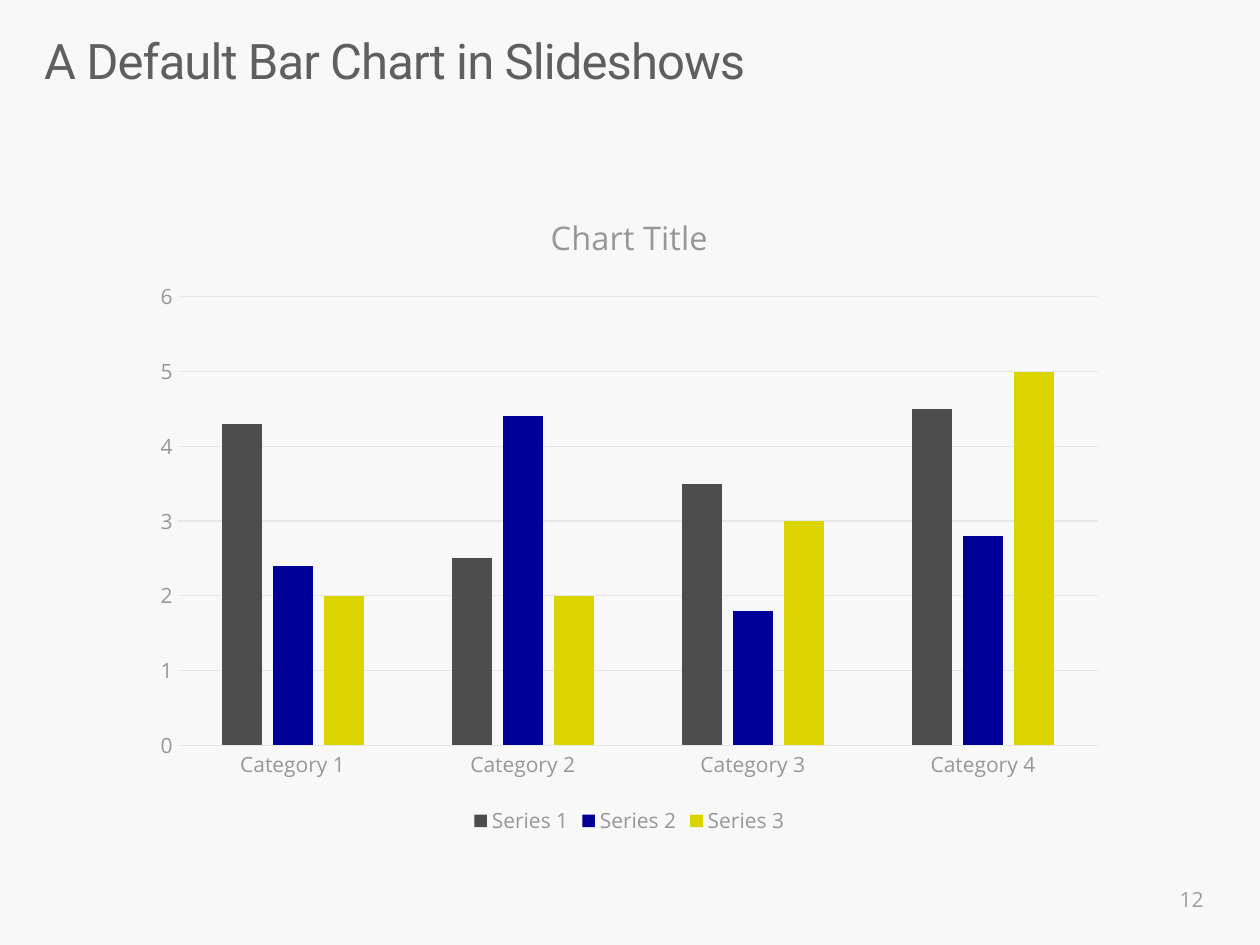
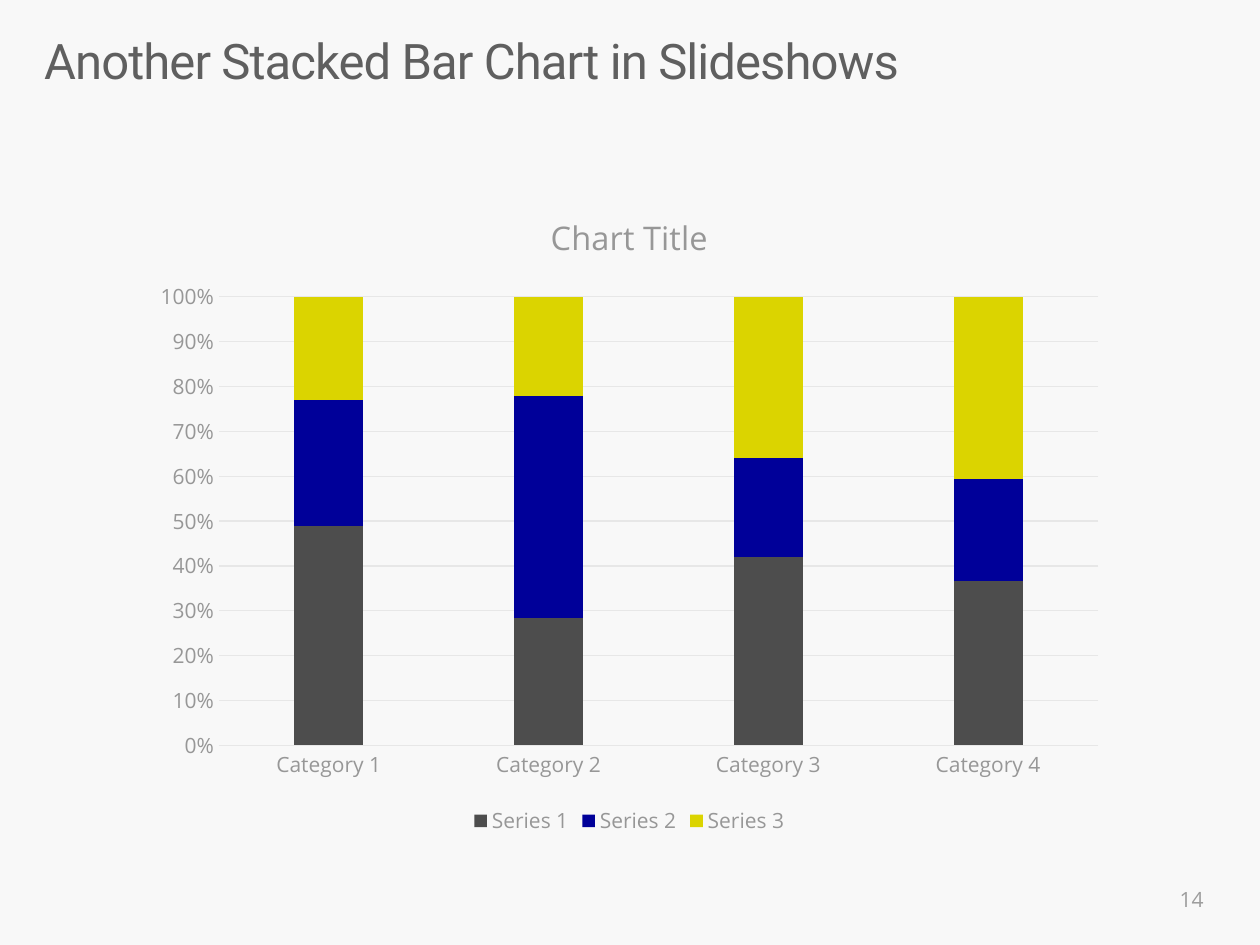
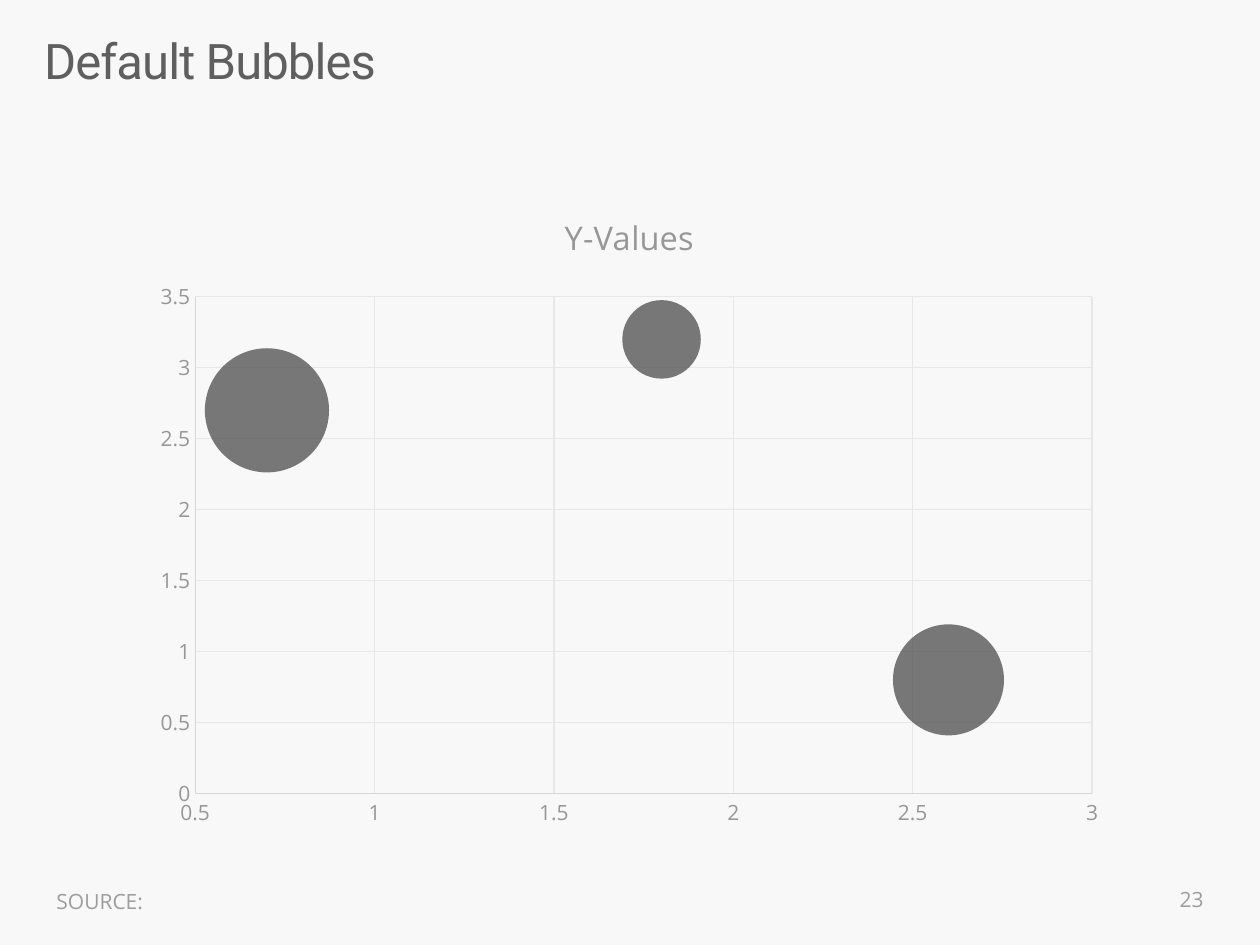
from dataclasses import dataclass
from typing import Any, Optional

from lxml.etree import SubElement
from pptx import Presentation
from pptx.chart.data import BubbleChartData, CategoryChartData
from pptx.dml.color import RGBColor
from pptx.enum.chart import XL_CHART_TYPE, XL_LEGEND_POSITION, XL_TICK_MARK
from pptx.enum.text import MSO_ANCHOR, PP_ALIGN
from pptx.oxml.ns import qn
from pptx.util import Emu, Pt

SCALE = 9144
BACK, DARK, GREY, PALE = "F8F8F8", "5F5F5F", "979797", "9D9D9D"
GRID, EDGE = "E7E7E7", "D7D7D7"
HUES = ("4D4D4D", "000099", "DBD400")
BODY = "Open Sans"
GROUPS = [f"Category {n}" for n in range(1, 5)]


@dataclass(frozen=True)
class Box:
    """A frame in px, one hundred to the inch."""

    left: int
    top: int
    width: int
    height: int

    def emu(self) -> list[Emu]:
        """Return the frame in EMU."""
        return [Emu(n * SCALE) for n in (self.left, self.top, self.width, self.height)]


@dataclass(frozen=True)
class Style:
    """The look of a line of text."""

    size: float
    hue: str
    face: str = BODY
    track: int = 0


@dataclass(frozen=True)
class Label:
    """A text frame shared by the slides."""

    box: Box
    style: Style
    frame: dict[str, Any]
    para: dict[str, Any]


@dataclass(frozen=True)
class Bars:
    """A column chart with its rows of values."""

    kind: XL_CHART_TYPE
    rows: tuple[tuple[float, ...], ...]
    lap: int
    top: float
    step: float
    code: str


@dataclass(frozen=True)
class Page:
    """One slide with a title, a number and a chart."""

    title: str
    number: int
    bars: Optional[Bars] = None
    source: str = ""


NOTE, AXIS = Style(12, PALE), Style(12, GREY)
CHART = Box(112, 147, 775, 520)
MID = {"vertical_anchor": MSO_ANCHOR.MIDDLE, "word_wrap": True}
FLUSH = {f"margin_{side}": 0 for side in ("left", "top", "right", "bottom")}
TITLE = Label(Box(35, 31, 929, 89), Style(28, DARK, "Roboto", -50),
              {"word_wrap": True, **FLUSH}, {"line_spacing": 0.86})
NUMBER = Label(Box(740, 694, 225, 40), NOTE, MID, {"alignment": PP_ALIGN.RIGHT})
SOURCE = Label(Box(35, 695, 693, 40), NOTE, MID, {"alignment": PP_ALIGN.LEFT})

PAGES = (
    Page("A Default Bar Chart in Slideshows", 12,
         Bars(XL_CHART_TYPE.COLUMN_CLUSTERED,
              ((4.3, 2.5, 3.5, 4.5), (2.4, 4.4, 1.8, 2.8), (2, 2, 3, 5)),
              -27, 6, 1, "General")),
    Page("Another Stacked Bar Chart in Slideshows", 14,
         Bars(XL_CHART_TYPE.COLUMN_STACKED_100,
              ((49, 28, 42, 37), (28, 49, 22, 23), (23, 22, 36, 41)),
              100, 1, 0.1, "0%")),
    Page("Default Bubbles", 23, source="SOURCE:"),
)
SPOTS = ((0.7, 2.7, 10), (1.8, 3.2, 4), (2.6, 0.8, 8))


def tint(code: str) -> RGBColor:
    """Turn a hex string into a colour."""
    return RGBColor.from_string(code)


def apply(target: Any, values: dict[str, Any]) -> None:
    """Set each named value on the target."""
    for name, value in values.items():
        setattr(target, name, value)


def ink(font: Any, style: Style) -> None:
    """Give a font its size, face and colour."""
    apply(font, {"size": Pt(style.size), "name": style.face, "bold": False})
    font.color.rgb = tint(style.hue)


def stroke(line: Any, hue: str) -> None:
    """Draw a thin line, or none when there is no hue."""
    if hue:
        line.color.rgb = tint(hue)
        line.width = Pt(0.75)
    else:
        line.fill.background()


def write(slide: Any, label: Label, text: str) -> None:
    """Place one line of text."""
    frame = slide.shapes.add_textbox(*label.box.emu()).text_frame
    apply(frame, label.frame)
    para = frame.paragraphs[0]
    apply(para, label.para)
    run = para.add_run()
    run.text = text
    ink(run.font, label.style)
    if label.style.track:
        run.font._element.set("spc", str(label.style.track))


def rule(axis: Any, edge: str, grid: bool, values: dict[str, Any]) -> None:
    """Style an axis with its line and grid."""
    apply(axis, {"major_tick_mark": XL_TICK_MARK.NONE,
                 "minor_tick_mark": XL_TICK_MARK.NONE,
                 "has_major_gridlines": grid, **values})
    ink(axis.tick_labels.font, AXIS)
    stroke(axis.format.line, edge)
    if grid:
        stroke(axis.major_gridlines.format.line, GRID)


def plot(slide: Any, kind: XL_CHART_TYPE, data: Any, title: str) -> Any:
    """Add a chart with its title and series colours."""
    chart = slide.shapes.add_chart(kind, *CHART.emu(), data).chart
    ink(chart.font, Style(10, DARK))
    chart.has_title = True
    frame = chart.chart_title.text_frame
    frame.text = title
    ink(frame.paragraphs[0].runs[0].font, Style(18.6, GREY))
    chart.chart_title.include_in_layout = False
    chart.has_legend = False
    for series, hue in zip(chart.plots[0].series, HUES):
        series.format.fill.solid()
        series.format.fill.fore_color.rgb = tint(hue)
        series.format.line.fill.background()
    return chart


def columns(slide: Any, bars: Bars) -> None:
    """Add a column chart with a legend below."""
    data = CategoryChartData()
    data.categories = GROUPS
    for n, row in enumerate(bars.rows, 1):
        data.add_series(f"Series {n}", row)
    chart = plot(slide, bars.kind, data, "Chart Title")
    apply(chart.plots[0], {"gap_width": 219, "overlap": bars.lap,
                           "vary_by_categories": False})
    rule(chart.category_axis, GRID, False, {})
    rule(chart.value_axis, "", True, {"minimum_scale": 0, "maximum_scale": bars.top,
                                      "major_unit": bars.step})
    apply(chart.value_axis.tick_labels,
          {"number_format": bars.code, "number_format_is_linked": False})
    chart.has_legend = True
    apply(chart.legend, {"position": XL_LEGEND_POSITION.BOTTOM,
                         "include_in_layout": False})
    ink(chart.legend.font, AXIS)


def bubbles(slide: Any) -> None:
    """Add a bubble chart with see-through bubbles."""
    data = BubbleChartData()
    series = data.add_series("Y-Values")
    for spot in SPOTS:
        series.add_data_point(*spot)
    chart = plot(slide, XL_CHART_TYPE.BUBBLE, data, "Y-Values")
    for axis, low, high in ((chart.category_axis, 0.5, 3), (chart.value_axis, 0, 3.5)):
        rule(axis, EDGE, True, {"minimum_scale": low, "maximum_scale": high,
                                "major_unit": 0.5})
    for hue in chart.plots[0].series[0]._element.spPr.iterfind(
            f"{qn('a:solidFill')}/{qn('a:srgbClr')}"):
        SubElement(hue, qn("a:alpha")).set("val", "75000")


def build(deck: Any, page: Page) -> None:
    """Add one slide to the deck."""
    slide = deck.slides.add_slide(deck.slide_layouts[6])
    slide.background.fill.solid()
    slide.background.fill.fore_color.rgb = tint(BACK)
    write(slide, TITLE, page.title)
    write(slide, NUMBER, str(page.number))
    if page.source:
        write(slide, SOURCE, page.source)
    if page.bars:
        columns(slide, page.bars)
    else:
        bubbles(slide)


def main() -> None:
    """Build and save the deck."""
    deck = Presentation()
    apply(deck, {"slide_width": Emu(1000 * SCALE), "slide_height": Emu(750 * SCALE)})
    for page in PAGES:
        build(deck, page)
    deck.save("out.pptx")


if __name__ == "__main__":
    main()
